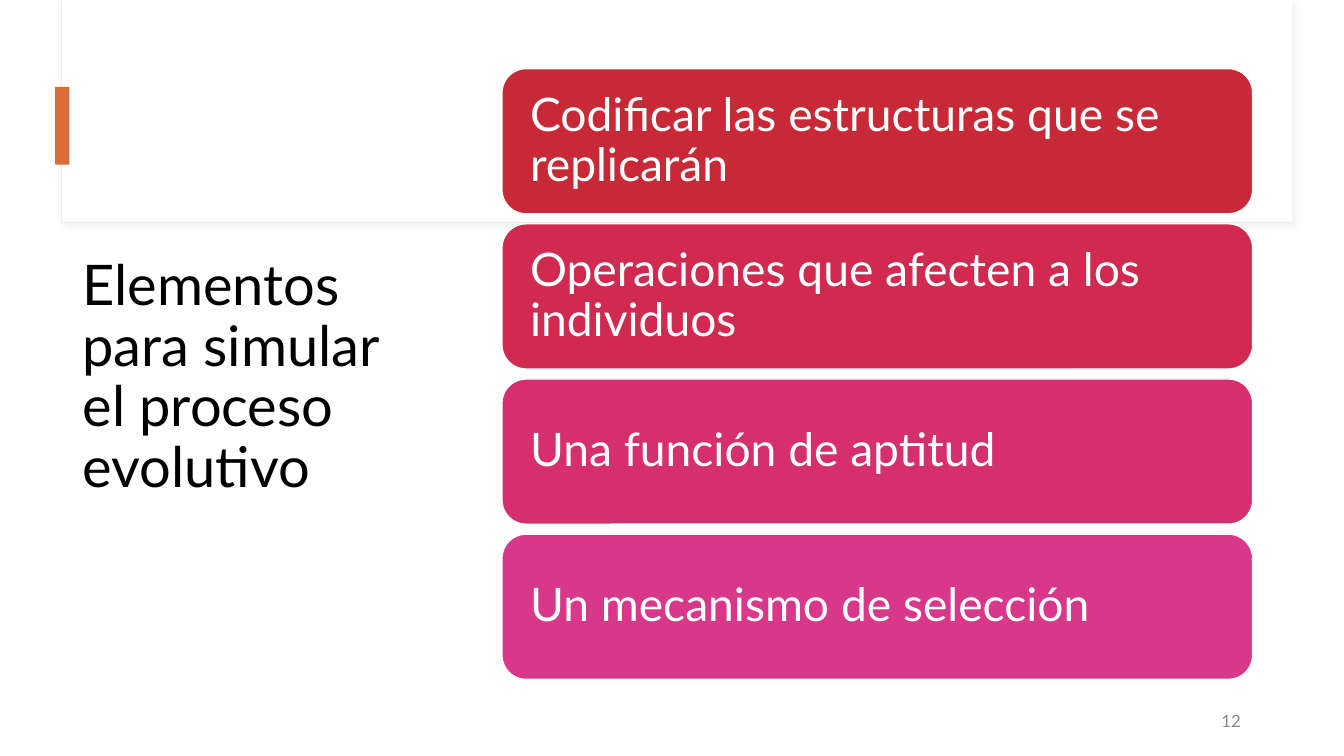
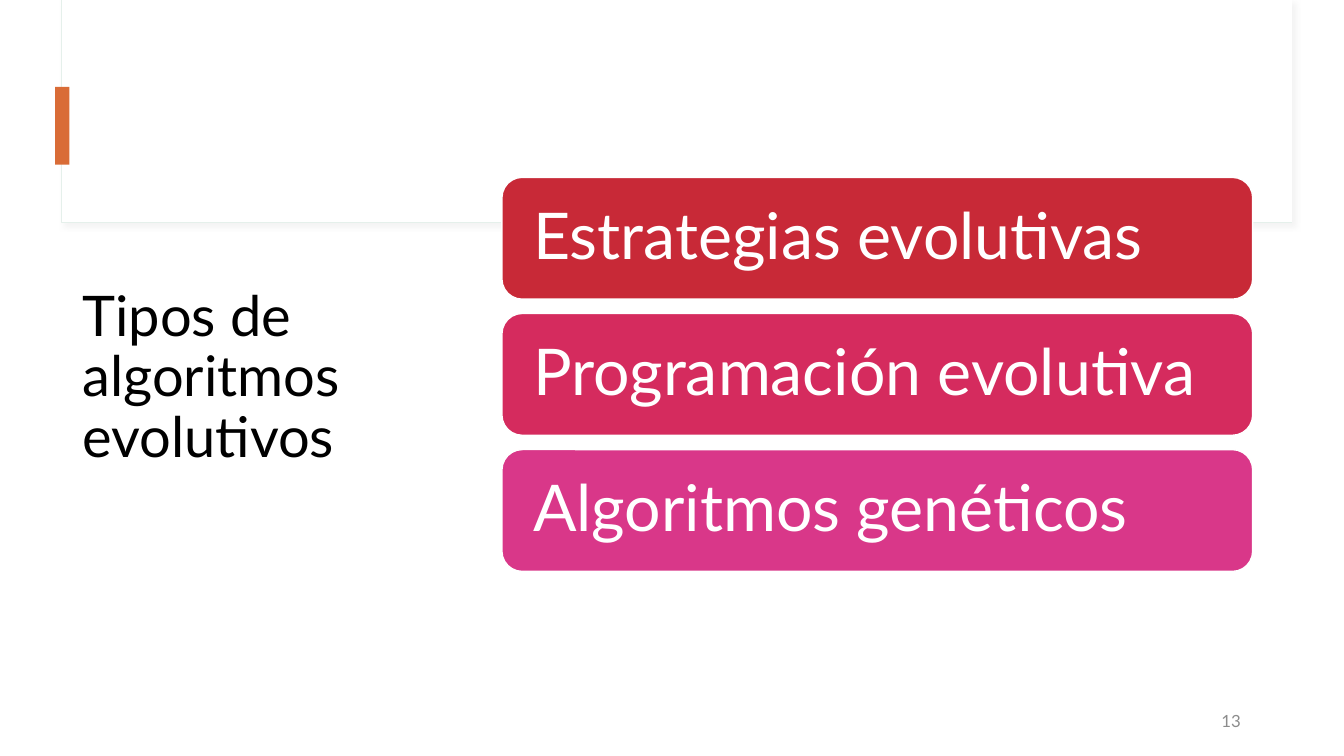
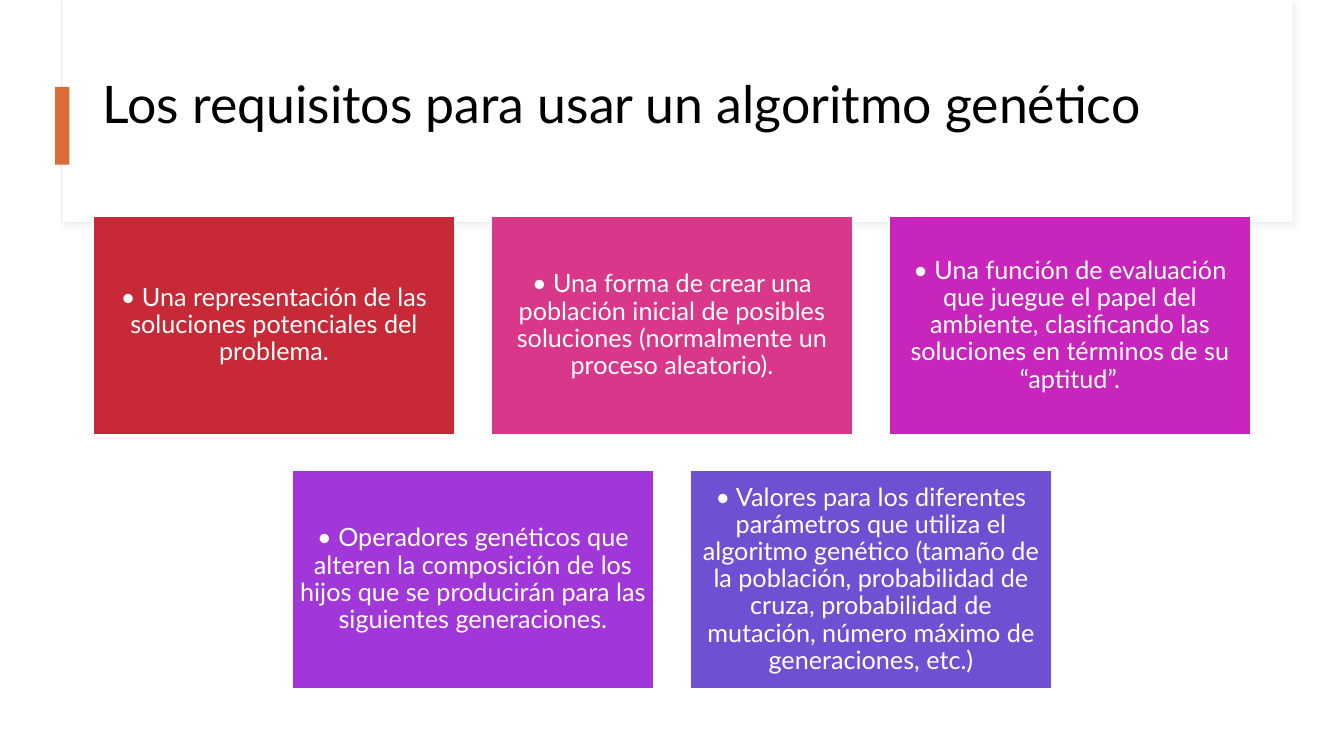
from lxml import etree
from pptx import Presentation
from pptx.dml.color import RGBColor
from pptx.enum.shapes import MSO_SHAPE as Shape
from pptx.enum.text import MSO_ANCHOR as Anchor, PP_ALIGN as Align
from pptx.oxml import parse_xml
from pptx.oxml.ns import nsdecls, qn
from pptx.util import Cm, Pt

COLORS = {
    "white": "FFFFFF", "black": "000000", "gray": "8C8C8C",
    "frame": "E5F0EB", "shadow": "D9D9D9", "orange": "D96C37",
    "red": "C82937", "crimson": "D12A50", "raspberry": "D52B5E",
    "rose": "D62F6D", "pink": "D93789", "magenta": "C725BB",
    "purple": "A237D9", "blue": "7050D2",
}
FONT = "Lato"
SLIDE_WIDTH, SLIDE_HEIGHT = 33.87, 19.05
BLANK_LAYOUT = 6

SHADOW_XML = (
    f'<a:outerShdw {nsdecls("a")} blurRad="{Pt(4)}" dist="{Pt(3)}" dir="2700000" '
    f'algn="tl" rotWithShape="0"><a:srgbClr val="{COLORS["shadow"]}">'
    '<a:alpha val="30000"/></a:srgbClr></a:outerShdw>'
)

TITLE_SIDE = {"bounds": (1.83, 2.67, 9.4, 13.74), "size": 40, "anchor": Anchor.MIDDLE}
TITLE_TOP = {"bounds": (2.34, 0.71, 29.18, 2.82), "size": 37, "anchor": Anchor.BOTTOM}
NUMBER_BOUNDS = (24.61, 17.65, 6.91, 1.02)

CARD_LEFT, CARD_WIDTH = 12.65, 18.92
TILE_WIDTH, TILE_HEIGHT, TILE_GAP, TILE_TOP = 9.12, 5.49, 0.91, 5.46

LIST_SLIDES = [
    {
        "title": "Elementos para simular el proceso evolutivo",
        "number": "12",
        "top": 1.73, "height": 3.66, "gap": 0.25, "size": 33, "inset": 0.53,
        "cards": [
            ("Codificar las estructuras que se replicarán", "red"),
            ("Operaciones que afecten a los individuos", "crimson"),
            ("Una función de aptitud", "rose"),
            ("Un mecanismo de selección", "pink"),
        ],
    },
    {
        "title": "Tipos de algoritmos evolutivos",
        "number": "13",
        "top": 4.47, "height": 3.07, "gap": 0.36, "size": 46, "inset": 0.64,
        "cards": [
            ("Estrategias evolutivas", "red"),
            ("Programación evolutiva", "raspberry"),
            ("Algoritmos genéticos", "pink"),
        ],
    },
]

REQUIREMENTS_TITLE = "Los requisitos para usar un algoritmo genético"
REQUIREMENT_ROWS = [
    [
        ("• Una representación de las soluciones potenciales del problema.", "red"),
        ("• Una forma de crear una población inicial de posibles soluciones "
         "(normalmente un proceso aleatorio).", "pink"),
        ("• Una función de evaluación que juegue el papel del ambiente, clasificando "
         "las soluciones en términos de su “aptitud”.", "magenta"),
    ],
    [
        ("• Operadores genéticos que alteren la composición de los hijos que se "
         "producirán para las siguientes generaciones.", "purple"),
        ("• Valores para los diferentes parámetros que utiliza el algoritmo genético "
         "(tamaño de la población, probabilidad de cruza, probabilidad de mutación, "
         "número máximo de generaciones, etc.)", "blue"),
    ],
]


def add_block(slide, geometry, bounds, fill, line=None, line_width=1):
    shape = slide.shapes.add_shape(geometry, *map(Cm, bounds))
    shape.shadow.inherit = False
    shape.fill.solid()
    shape.fill.fore_color.rgb = RGBColor.from_string(COLORS[fill])
    if line:
        shape.line.color.rgb = RGBColor.from_string(COLORS[line])
        shape.line.width = Pt(line_width)
    else:
        shape.line.fill.background()
    return shape


def write_text(shape, text, size, color, align=Align.LEFT, anchor=Anchor.MIDDLE,
               spacing=0.9, inset=0.25, inset_vertical=0.13):
    frame = shape.text_frame
    paragraph = frame.paragraphs[0]
    run = paragraph.add_run()
    run.text = text
    run.font.color.rgb = RGBColor.from_string(COLORS[color])
    formats = [
        (frame, {"word_wrap": True, "vertical_anchor": anchor,
                 "margin_left": Cm(inset), "margin_right": Cm(inset),
                 "margin_top": Cm(inset_vertical), "margin_bottom": Cm(inset_vertical)}),
        (paragraph, {"alignment": align, "line_spacing": spacing}),
        (run.font, {"name": FONT, "size": Pt(size)}),
    ]
    for target, values in formats:
        for name, value in values.items():
            setattr(target, name, value)


presentation = Presentation()
presentation.slide_width = Cm(SLIDE_WIDTH)
presentation.slide_height = Cm(SLIDE_HEIGHT)

pages = [(page["title"], TITLE_SIDE) for page in LIST_SLIDES]
pages.append((REQUIREMENTS_TITLE, TITLE_TOP))

# Frame, accent bar and title shared by every slide
for title, style in pages:
    slide = presentation.slides.add_slide(presentation.slide_layouts[BLANK_LAYOUT])
    frame_box = add_block(slide, Shape.RECTANGLE, (1.55, 0, 31.01, 5.61),
                          "white", "frame", 0.75)
    effects = frame_box._element.spPr.find(qn("a:effectLst"))
    effects.append(parse_xml(SHADOW_XML))
    add_block(slide, Shape.RECTANGLE, (1.57, 0, 30.99, 5.59), "white")
    add_block(slide, Shape.RECTANGLE, (1.39, 2.19, 0.36, 1.96), "orange")
    title_box = slide.shapes.add_textbox(*map(Cm, style["bounds"]))
    write_text(title_box, title, style["size"], "black", anchor=style["anchor"])

# Stacked cards with a slide number
for slide, page in zip(presentation.slides, LIST_SLIDES):
    number_box = slide.shapes.add_textbox(*map(Cm, NUMBER_BOUNDS))
    write_text(number_box, page["number"], 12, "gray", align=Align.RIGHT, spacing=1.0)
    for index, (text, color) in enumerate(page["cards"]):
        top = page["top"] + index * (page["height"] + page["gap"])
        card = add_block(slide, Shape.ROUNDED_RECTANGLE,
                         (CARD_LEFT, top, CARD_WIDTH, page["height"]), color, "white")
        write_text(card, text, page["size"], "white", inset=page["inset"])

# Rows of tiles, each row centred on the slide
slide = presentation.slides[len(LIST_SLIDES)]
for row_index, row in enumerate(REQUIREMENT_ROWS):
    row_width = len(row) * (TILE_WIDTH + TILE_GAP) - TILE_GAP
    row_left = (SLIDE_WIDTH - row_width) / 2
    top = TILE_TOP + row_index * (TILE_HEIGHT + TILE_GAP)
    for column, (text, color) in enumerate(row):
        left = row_left + column * (TILE_WIDTH + TILE_GAP)
        tile = add_block(slide, Shape.RECTANGLE,
                         (left, top, TILE_WIDTH, TILE_HEIGHT), color, "white")
        write_text(tile, text, 18, "white", align=Align.CENTER, inset=0.18)

presentation.save("out.pptx")
